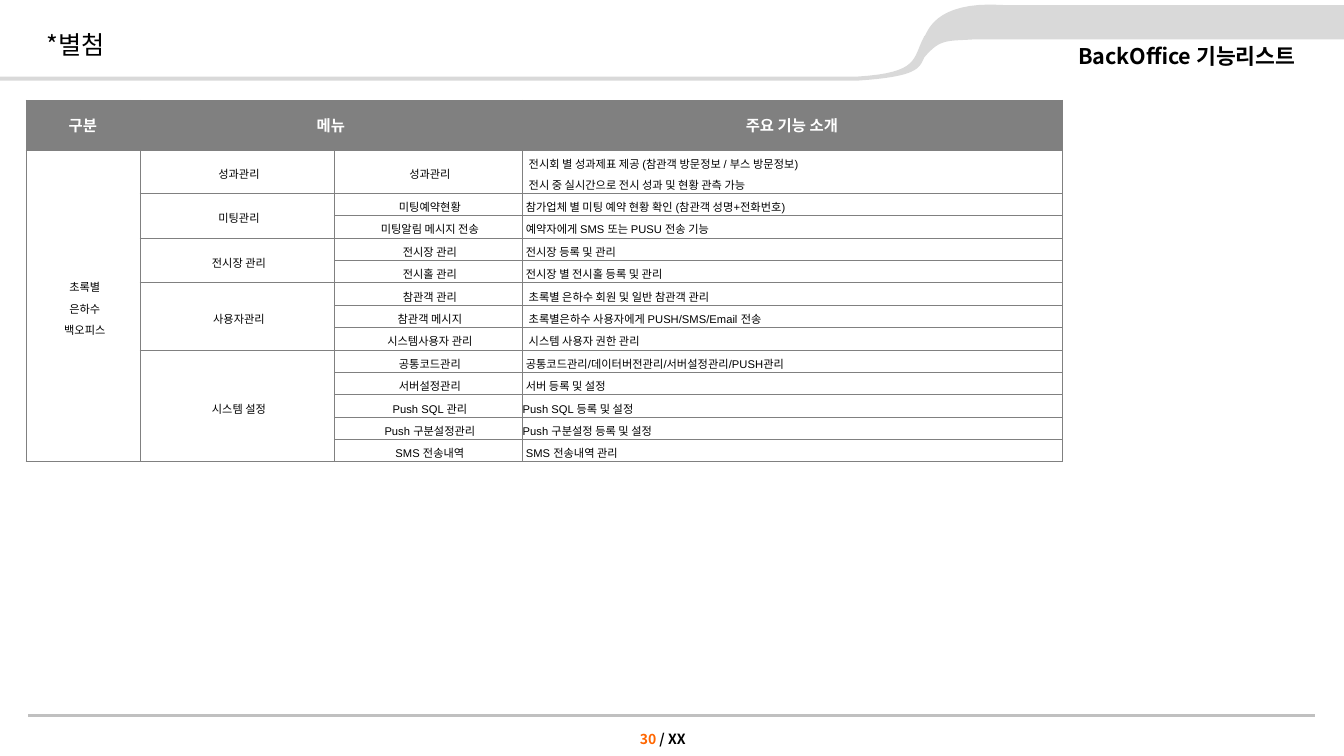
import pptx
import pptx.chart.data
import pptx.dml.color
import pptx.enum.shapes
import pptx.enum.text
import pptx.oxml.ns
import pptx.util
from lxml import etree

Pt = pptx.util.Pt
qn = pptx.oxml.ns.qn
ALIGN = pptx.enum.text.PP_ALIGN
MIDDLE = pptx.enum.text.MSO_ANCHOR.MIDDLE

COLORS = {
    "black": "000000",
    "white": "FFFFFF",
    "grey": "808080",
    "band": "D9D9D9",
    "rule": "C0C0C0",
    "orange": "FF6600",
}
HANGUL = "Noto Sans CJK KR"
LATIN = "Arial"

HEADER = ["구분", "메뉴", "", "주요 기능 소개"]
PRODUCT = "초록별\n은하수\n백오피스"
FLUSH, NEAR, INDENTED = 0.7, 2.9, 5
GROUPS = [
    ("성과관리", [
        ("성과관리", "전시회 별 성과제표 제공 (참관객 방문정보 / 부스 방문정보)\n"
                 "전시 중 실시간으로 전시 성과 및 현황 관측 가능", INDENTED),
    ]),
    ("미팅관리", [
        ("미팅예약현황", "참가업체 별 미팅 예약 현황 확인 (참관객 성명+전화번호)", NEAR),
        ("미팅알림 메시지 전송", "예약자에게 SMS 또는 PUSU 전송 기능", NEAR),
    ]),
    ("전시장 관리", [
        ("전시장 관리", "전시장 등록 및 관리", NEAR),
        ("전시홀 관리", "전시장 별 전시홀 등록 및 관리", NEAR),
    ]),
    ("사용자관리", [
        ("참관객 관리", "초록별 은하수 회원 및 일반 참관객 관리", INDENTED),
        ("참관객 메시지", "초록별은하수 사용자에게 PUSH/SMS/Email 전송", INDENTED),
        ("시스템사용자 관리", "시스템 사용자 권한 관리", INDENTED),
    ]),
    ("시스템 설정", [
        ("공통코드관리", "공통코드관리/데이터버전관리/서버설정관리/PUSH관리", NEAR),
        ("서버설정관리", "서버 등록 및 설정", NEAR),
        ("Push SQL 관리", "Push SQL 등록 및 설정", FLUSH),
        ("Push 구분설정관리", "Push 구분설정 등록 및 설정", FLUSH),
        ("SMS 전송내역", "SMS 전송내역 관리", NEAR),
    ]),
]
COLUMNS = [81.5, 138.8, 134, 386]
ROWS = [35.6, 30.8] + [16] * 12

BAND = [
    [(0, 54.7)],
    [(612.7, 54.7)],
    [(657.4, 51.8), (651.6, 41.8), (660.2, 25.9)],
    [(662.4, 25.2), (665.3, 0), (717.1, 3.6)],
    [(960, 3.6)],
    [(960, 28.1)],
    [(696.2, 28.1)],
    [(676.1, 29.5), (671.8, 27.4), (660.2, 41)],
    [(656.6, 49), (655.2, 54.7), (612.7, 57.6)],
    [(0, 57.6)],
]


def rgb(name):
    return pptx.dml.color.RGBColor.from_string(COLORS[name])


def flatten(segments, steps=16):
    points = list(segments[0])
    for segment in segments[1:]:
        if len(segment) == 1:
            points += segment
            continue
        a, (b, c, d) = points[-1], segment
        for i in range(1, steps + 1):
            t = i / steps
            u = 1 - t
            points.append(tuple(
                u**3 * a[k] + 3 * u * u * t * b[k] + 3 * u * t * t * c[k] + t**3 * d[k]
                for k in (0, 1)))
    return points


class Page:
    def __init__(self, prs):
        self.s = prs.slides.add_slide(prs.slide_layouts[5])

    def font(self, r, size, color="black", bold=False, name=HANGUL):
        r.font.size = Pt(size)
        r.font.bold = bold
        r.font.name = name
        r.font.color.rgb = rgb(color)
        ea = etree.Element(qn("a:ea"), typeface=HANGUL)
        r.font._element.find(qn("a:latin")).addnext(ea)

    def style(self, tf, size, align=ALIGN.LEFT, spacing=1.0, **font):
        for p in tf.paragraphs:
            p.alignment = align
            p.line_spacing = spacing
            for r in p.runs:
                self.font(r, size, **font)

    def title(self, text, x, y, w, h):
        sp = self.s.shapes.title
        sp.left, sp.top, sp.width, sp.height = Pt(x), Pt(y), Pt(w), Pt(h)
        tf = sp.text_frame
        tf.text = text
        tf.auto_size = pptx.enum.text.MSO_AUTO_SIZE.NONE
        tf.vertical_anchor = MIDDLE
        self.style(tf, 18)

    def text(self, text, x, y, w, h, size, wrap=True, **style):
        tf = self.s.shapes.add_textbox(Pt(x), Pt(y), Pt(w), Pt(h)).text_frame
        tf.word_wrap = wrap
        tf.vertical_anchor = MIDDLE
        tf.margin_top = tf.margin_bottom = 0
        tf.text = text
        self.style(tf, size, **style)
        return tf

    def outline(self, segments, color):
        points = [(Pt(x), Pt(y)) for x, y in flatten(segments)]
        builder = self.s.shapes.build_freeform(*points[0])
        builder.add_line_segments(points[1:], close=True)
        sp = builder.convert_to_shape()
        sp.shadow.inherit = False
        sp.fill.solid()
        sp.fill.fore_color.rgb = rgb(color)
        sp.line.fill.background()

    def rule(self, x1, x2, y, color, width):
        line = self.s.shapes.add_connector(
            pptx.enum.shapes.MSO_CONNECTOR.STRAIGHT, Pt(x1), Pt(y), Pt(x2), Pt(y))
        line.line.color.rgb = rgb(color)
        line.line.width = Pt(width)
        etree.SubElement(line._element.spPr, qn("a:effectLst"))

    def table(self, x, y, columns, rows):
        table = self.s.shapes.add_table(
            len(rows), len(columns), Pt(x), Pt(y), Pt(sum(columns)), Pt(sum(rows))).table
        table.first_row = table.horz_banding = False
        for column, width in zip(table.columns, columns):
            column.width = Pt(width)
        for row, height in zip(table.rows, rows):
            row.height = Pt(height)
        for cell in table.iter_cells():
            self.cell(cell)
        return table

    def cell(self, cell, text="", fill="white", left=NEAR, size=8, **style):
        cell.text = text
        cell.vertical_anchor = MIDDLE
        cell.margin_left = Pt(left)
        cell.margin_right = cell.margin_top = cell.margin_bottom = 0
        tcPr = cell._tc.get_or_add_tcPr()
        for child in list(tcPr):
            tcPr.remove(child)
        for side in ("lnL", "lnR", "lnT", "lnB"):
            ln = etree.SubElement(tcPr, qn("a:" + side), w=str(Pt(0.25)))
            solid = etree.SubElement(ln, qn("a:solidFill"))
            etree.SubElement(solid, qn("a:srgbClr"), val=COLORS["grey"])
        cell.fill.solid()
        cell.fill.fore_color.rgb = rgb(fill)
        self.style(cell.text_frame, size, **style)


def fill_table(page, table):
    body = dict(spacing=1.3, name=LATIN)
    centred = dict(body, align=ALIGN.CENTER)
    for column, label in enumerate(HEADER):
        page.cell(table.cell(0, column), label, "grey", 0, 11,
                  align=ALIGN.CENTER, color="white", bold=True)
    table.cell(0, 1).merge(table.cell(0, 2))
    page.cell(table.cell(1, 0), PRODUCT, **centred)
    table.cell(1, 0).merge(table.cell(len(ROWS) - 1, 0))
    row = 1
    for group, menus in GROUPS:
        page.cell(table.cell(row, 1), group, **centred)
        if len(menus) > 1:
            table.cell(row, 1).merge(table.cell(row + len(menus) - 1, 1))
        for menu, feature, left in menus:
            page.cell(table.cell(row, 2), menu, **centred)
            page.cell(table.cell(row, 3), feature, left=left, **body)
            row += 1


def main():
    prs = pptx.Presentation()
    prs.slide_width, prs.slide_height = Pt(960), Pt(540)
    page = Page(prs)
    page.outline(BAND, "band")
    page.rule(20.2, 939.6, 511.2, "rule", 2)
    page.title("*별첨", 26, 14.4, 510.5, 34.6)
    page.text("BackOffice 기능리스트", 665.3, 32.4, 267, 20, 15.4,
              align=ALIGN.RIGHT, spacing=0.7, bold=True)
    p = page.text("30", 450, 522, 52.6, 12.2, 10, wrap=False,
                  color="orange", bold=True).paragraphs[0]
    r = p.add_run()
    r.text = " / XX"
    page.font(r, 10, bold=True)
    fill_table(page, page.table(18.4, 71.5, COLUMNS, ROWS))
    prs.save("out.pptx")


if __name__ == "__main__":
    main()
